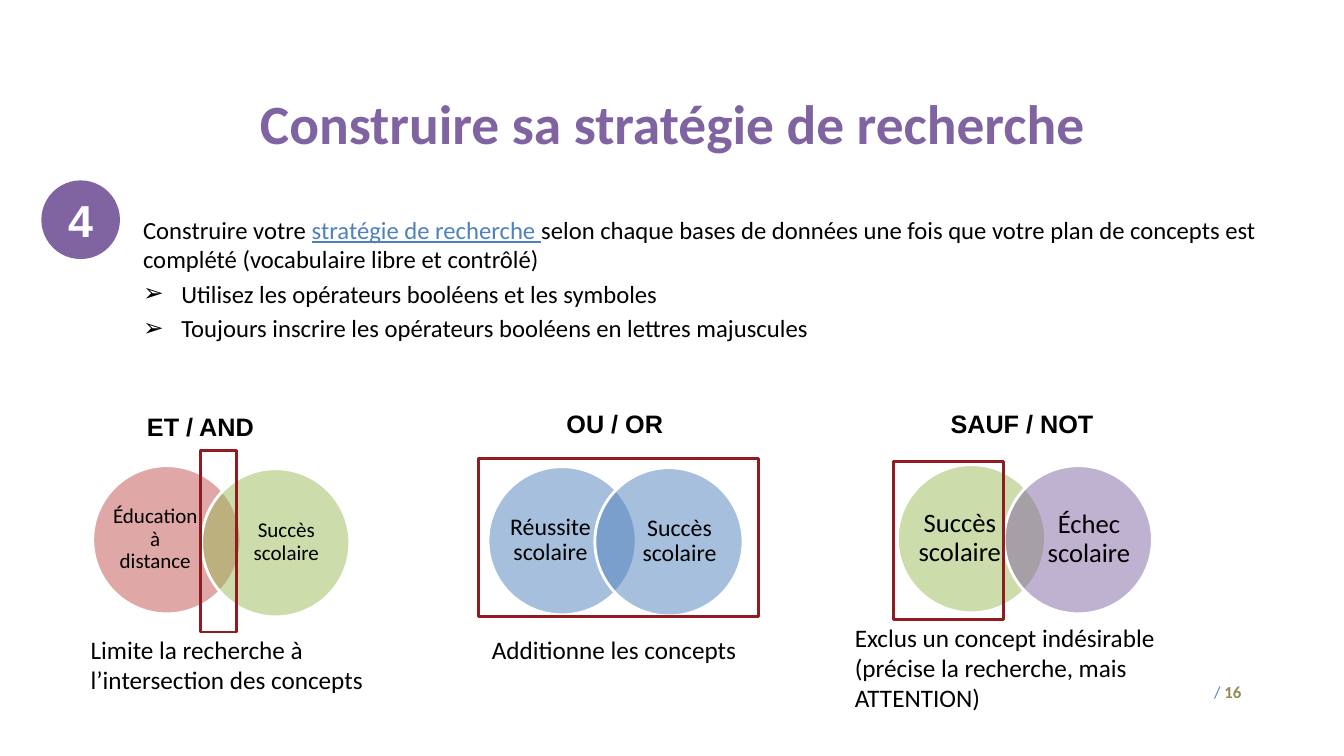
from lxml import etree
from pptx import Presentation
from pptx.dml.color import RGBColor
from pptx.enum.shapes import MSO_SHAPE
from pptx.enum.text import MSO_ANCHOR, MSO_AUTO_SIZE, PP_ALIGN
from pptx.oxml.ns import qn
from pptx.util import Emu, Pt

PX = 9144  # EMU in one px, 100 px to the inch
OVAL, RECT = MSO_SHAPE.OVAL, MSO_SHAPE.RECTANGLE
TOP, MIDDLE = MSO_ANCHOR.TOP, MSO_ANCHOR.MIDDLE
LEFT, CENTER, RIGHT = PP_ALIGN.LEFT, PP_ALIGN.CENTER, PP_ALIGN.RIGHT
GROW, FIXED = MSO_AUTO_SIZE.SHAPE_TO_FIT_TEXT, MSO_AUTO_SIZE.NONE
COLORS = {
    "black": "000000", "white": "FFFFFF", "purple": "8064A2", "blue": "4F81BD",
    "green": "9BBB59", "red": "C0504D", "olive": "948A54", "frame": "8E1C20",
}


def color(name):
    return RGBColor.from_string(COLORS[name])


def span(text, **style):
    """A piece of text with the format that differs from its box."""
    return text, style


class SlideBuilder:
    def __init__(self, page, font="Calibri"):
        self.page = page
        self.font = font

    def add_span(self, para, text, size=18, ink="black", bold=False,
                 underline=False, font=None):
        run = para.add_run()
        run.text = text
        run.font.name = font or self.font
        run.font.size = Pt(size)
        run.font.bold = bold
        run.font.underline = underline
        run.font.color.rgb = color(ink)

    def fill_frame(self, frame, paras, align=LEFT, anchor=TOP, before=0,
                   line_spacing=None, **style):
        """Each paragraph is a string or a list of spans."""
        frame.word_wrap = True
        frame.vertical_anchor = anchor
        for index, content in enumerate(paras):
            para = frame.paragraphs[0] if index == 0 else frame.add_paragraph()
            para.alignment = align
            if index:
                para.space_before = Pt(before)
            if line_spacing:
                para.line_spacing = line_spacing
            pieces = [span(content)] if isinstance(content, str) else content
            for text, changes in pieces:
                self.add_span(para, text, **{**style, **changes})

    def text(self, at, *paras, insets=(10, 5, 10, 5), fit=FIXED, **style):
        box = self.page.shapes.add_textbox(*(Emu(n * PX) for n in at))
        frame = box.text_frame
        (frame.margin_left, frame.margin_top,
         frame.margin_right, frame.margin_bottom) = (Emu(n * PX) for n in insets)
        self.fill_frame(frame, paras, **style)
        frame.auto_size = fit
        return box

    def bullet(self, para, mark="➢", indent=38):
        props = para._p.get_or_add_pPr()
        props.set("marL", str(indent * PX))
        props.set("indent", str(-indent * PX))
        etree.SubElement(props, qn("a:buFont")).set("typeface", "Arial")
        etree.SubElement(props, qn("a:buChar")).set("char", mark)

    def shape(self, kind, at, fill=None, line=None, opacity=100):
        shape = self.page.shapes.add_shape(kind, *(Emu(n * PX) for n in at))
        shape.shadow.inherit = False
        if fill:
            shape.fill.solid()
            shape.fill.fore_color.rgb = color(fill)
            if opacity < 100:
                tone = shape.fill._xPr.find(qn("a:solidFill"))[0]
                etree.SubElement(tone, qn("a:alpha")).set("val", str(opacity * 1000))
        else:
            shape.fill.background()
        if line:
            shape.line.color.rgb = color(line)
            shape.line.width = Pt(2)
        else:
            shape.line.fill.background()
        return shape

    def venn_circle(self, left, top, fill, label, label_offset, size):
        self.shape(OVAL, (left, top, 147, 147), fill, "white", opacity=50)
        self.text((left + label_offset, top + 17, 84, 112), label,
                  insets=(0, 0, 0, 0), align=CENTER, anchor=MIDDLE,
                  line_spacing=0.9, size=size)

    def operator(self, name, name_at, corner, shift, fills, labels, size,
                 frame_at, caption, caption_at):
        """Heading, two overlapping circles, frame of the kept part, caption."""
        self.text(name_at, name, fit=GROW, font="Arial", bold=True)
        left, top = corner
        self.venn_circle(left, top, fills[0], labels[0], 20, size)
        self.venn_circle(left + shift[0], top + shift[1], fills[1], labels[1], 42, size)
        self.shape(RECT, frame_at, line="frame")
        self.text(caption_at, *caption, fit=GROW)


OPERATORS = [
    dict(name="ET / AND", name_at=(136, 403, 137, 40), corner=(92, 462),
         shift=(108, 3), fills=("red", "green"), size=15,
         labels=("Éducation à distance", "Succès scolaire"),
         frame_at=(199, 447, 36, 180), caption_at=(80, 624, 362, 71),
         caption=["Limite la recherche à l’intersection des concepts"]),
    dict(name="OU / OR", name_at=(552, 400, 129, 40), corner=(484, 463),
         shift=(106, 1), fills=("blue", "blue"), size=17,
         labels=("Réussite scolaire", "Succès scolaire"),
         frame_at=(475, 455, 277, 157), caption_at=(478, 624, 342, 40),
         caption=["Additionne les concepts"]),
    dict(name="SAUF / NOT", name_at=(933, 400, 207, 40), corner=(890, 461),
         shift=(106, 1), fills=("green", "purple"), size=19,
         labels=("Succès scolaire", "Échec scolaire"),
         frame_at=(886, 458, 109, 157), caption_at=(838, 612, 357, 101),
         caption=["Exclus un concept indésirable",
                  "(précise la recherche, mais", "ATTENTION)"]),
]


def main():
    deck = Presentation()
    deck.slide_width, deck.slide_height = Emu(1333 * PX), Emu(750 * PX)
    page = deck.slides.add_slide(deck.slide_layouts[6])
    builder = SlideBuilder(page)

    # Title and step number
    builder.text((92, 87, 1150, 69), "Construire sa stratégie de recherche",
                 align=CENTER, anchor=MIDDLE, size=39.6, ink="purple", bold=True)
    step = builder.shape(OVAL, (41, 179, 78, 78), "purple")
    builder.fill_frame(step.text_frame, ["4"], align=CENTER, anchor=MIDDLE,
                       size=32, ink="white", bold=True, font="Arial")

    # Instructions
    body = builder.text(
        (132, 182, 1139, 151),
        [span("Construire votre "),
         span("stratégie de recherche ", ink="blue", underline=True),
         span("selon chaque bases de données une fois que votre plan de "
              "concepts est complété (vocabulaire libre et contrôlé)")],
        "Utilisez les opérateurs booléens et les symboles",
        "Toujours inscrire les opérateurs booléens en lettres majuscules",
        insets=(10, 31, 10, 5), before=3.5, size=17.6)
    for para in body.text_frame.paragraphs[1:]:
        builder.bullet(para)

    # Boolean operators
    for operator in OPERATORS:
        builder.operator(**operator)

    # Page number
    builder.text((1169, 666, 72, 40),
                 [span("/ ", ink="blue"), span("16", ink="olive", bold=True)],
                 align=RIGHT, anchor=MIDDLE, size=12)

    deck.save("out.pptx")


if __name__ == "__main__":
    main()
